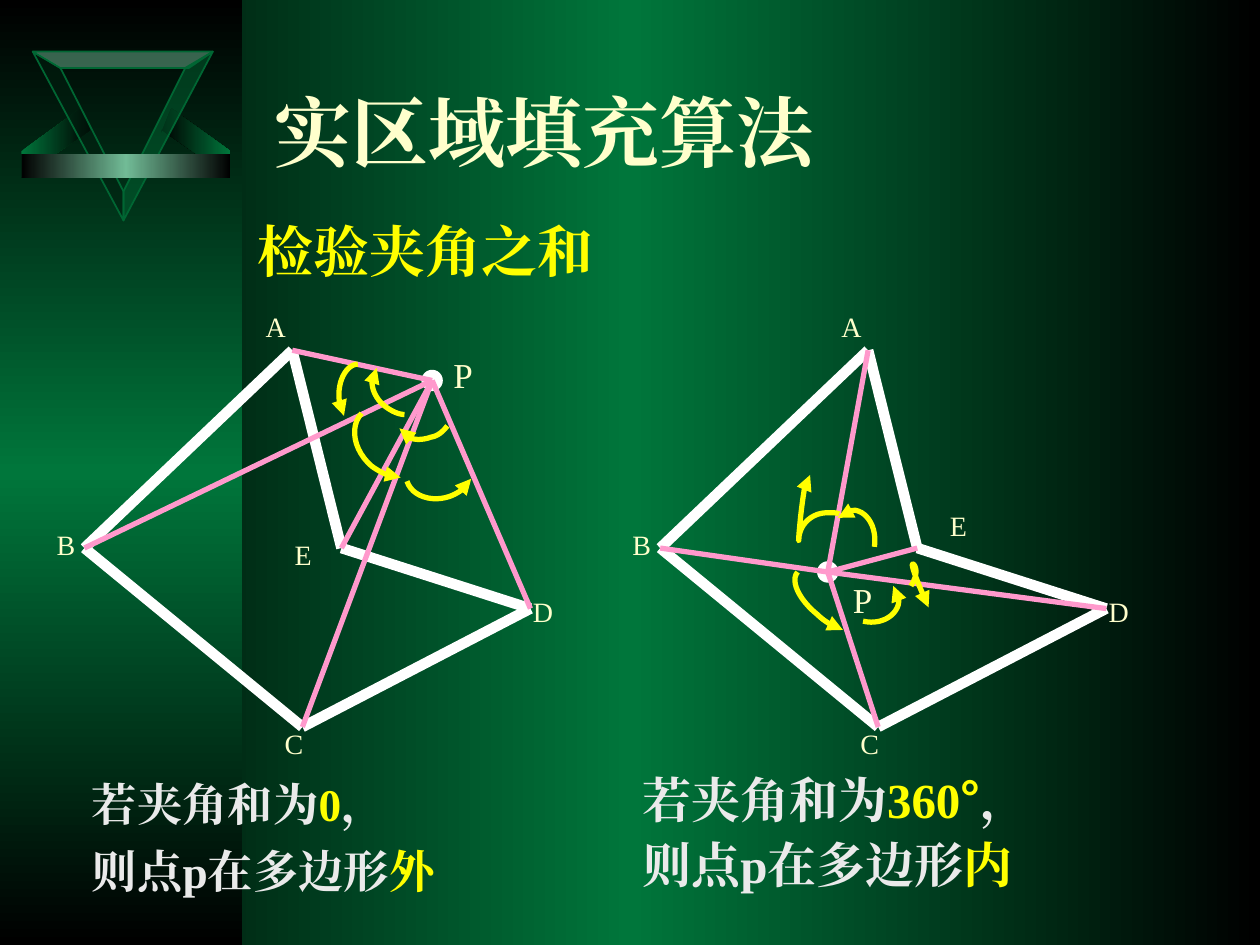
from copy import deepcopy

from lxml.etree import SubElement
from pptx import Presentation
from pptx.dml.color import RGBColor
from pptx.enum.lang import MSO_LANGUAGE_ID
from pptx.enum.shapes import MSO_CONNECTOR, MSO_SHAPE
from pptx.enum.text import MSO_ANCHOR, PP_ALIGN
from pptx.oxml.ns import qn
from pptx.util import Inches, Pt

BLACK = RGBColor(0x00, 0x00, 0x00)
WHITE = RGBColor(0xFF, 0xFF, 0xFF)
GREEN = RGBColor(0x00, 0x76, 0x3B)
MINT = RGBColor(0x71, 0xBB, 0x96)
EDGE_GREEN = RGBColor(0x00, 0x66, 0x33)
DARK_GREEN = RGBColor(0x00, 0x20, 0x10)
CREAM = RGBColor(0xFF, 0xFF, 0xCC)
YELLOW = RGBColor(0xFF, 0xFF, 0x00)
PINK = RGBColor(0xFF, 0x99, 0xCC)
GREY = RGBColor(0xEA, 0xEA, 0xEA)
SERIF = "Times New Roman"
SANS = "Noto Sans CJK SC"

FIGURE_SHIFT = 4.57
POLYGON = {"A": (2.32, 2.78), "B": (0.67, 4.35), "C": (2.4, 5.77),
           "D": (4.21, 4.83), "E": (2.71, 4.35)}
LABELS = {"A": (2.01, 2.41), "B": (0.35, 4.14), "C": (2.16, 5.72), "D": (4.13, 4.67)}
OUTSIDE_ARCS = [
    ("tailEnd", [(2.84, 2.89), (2.76, 2.89), (2.69, 3), (2.69, 3.13),
                 (2.69, 3.19), (2.7, 3.25), (2.73, 3.3)]),
    ("tailEnd", [(2.87, 3.28), (2.77, 3.39), (2.81, 3.58), (2.95, 3.7),
                 (3.02, 3.75), (3.1, 3.79), (3.18, 3.79)]),
    ("tailEnd", [(3.23, 3.82), (3.27, 3.94), (3.43, 3.99), (3.57, 3.94),
                 (3.65, 3.91), (3.71, 3.86), (3.74, 3.8)]),
    ("headEnd", [(3.17, 3.4), (3.2, 3.48), (3.31, 3.51), (3.42, 3.47),
                 (3.48, 3.46), (3.52, 3.42), (3.55, 3.38)]),
    ("headEnd", [(2.99, 2.92), (2.92, 3), (2.95, 3.14), (3.05, 3.22),
                 (3.1, 3.26), (3.16, 3.29), (3.21, 3.29)]),
]
INSIDE_ARCS = [
    ("tailEnd", [(6.66, 4.08), (6.64, 4.07), (6.62, 4.07), (6.59, 4.07),
                 (6.45, 4.06), (6.34, 4.16), (6.34, 4.29),
                 (6.33, 4.35), (6.38, 3.72), (6.43, 3.77)]),
    ("tailEnd", [(6.33, 4.54), (6.27, 4.61), (6.34, 4.76), (6.49, 4.88),
                 (6.55, 4.94), (6.63, 4.98), (6.69, 5)]),
    ("tailEnd", [(6.85, 4.93), (6.98, 4.96), (7.1, 4.9), (7.13, 4.8),
                 (7.14, 4.75), (7.13, 4.69), (7.09, 4.65)]),
    ("tailEnd", [(7.23, 4.65), (7.27, 4.59), (7.28, 4.53), (7.26, 4.49),
                 (7.24, 4.46), (7.2, 4.44), (7.37, 4.82)]),
    ("tailEnd", [(6.94, 4.34), (6.96, 4.19), (6.89, 4.07), (6.79, 4.05),
                 (6.74, 4.05), (6.69, 4.07), (6.65, 4.11)]),
]


def set_gradient(fill, element, colors, angle=0):
    fill.gradient()
    fill.gradient_angle = angle
    first = next(element.iter(qn("a:gs")))
    for _ in colors[2:]:
        first.addnext(deepcopy(first))
    for index, (stop, color) in enumerate(zip(fill.gradient_stops, colors)):
        stop.color.rgb = color
        stop.position = index / (len(colors) - 1)


def add_outline(page, points, closed=True):
    corners = [(Inches(x), Inches(y)) for x, y in points]
    builder = page.shapes.build_freeform(*corners[0], scale=1.0)
    builder.add_line_segments(corners[1:], close=closed)
    shape = builder.convert_to_shape()
    shape.shadow.inherit = False
    return shape


def add_preset(page, kind, left, top, width, height):
    shape = page.shapes.add_shape(kind, Inches(left), Inches(top), Inches(width), Inches(height))
    shape.shadow.inherit = False
    shape.line.fill.background()
    return shape


def add_band(page, colors, angle, *place):
    band = add_preset(page, MSO_SHAPE.RECTANGLE, *place)
    set_gradient(band.fill, band.element, colors, angle)


def add_facet(page, color, points):
    facet = add_outline(page, points)
    facet.fill.solid()
    facet.fill.fore_color.rgb = color
    SubElement(next(facet.element.iter(qn("a:srgbClr"))), qn("a:alpha"), val="50000")
    facet.line.color.rgb = EDGE_GREEN
    facet.line.width = Pt(1)


def add_wing(page, colors, points):
    wing = add_outline(page, points)
    wing.line.fill.background()
    set_gradient(wing.fill, wing.element, colors)


def add_segment(page, start, end, color, width):
    ends = [Inches(value) for value in (*start, *end)]
    segment = page.shapes.add_connector(MSO_CONNECTOR.STRAIGHT, *ends)
    segment.line.color.rgb = color
    segment.line.width = Pt(width)
    SubElement(segment.element.spPr, qn("a:effectLst"))


def curve_points(controls, steps=12):
    points = [controls[0]]
    for start in range(0, len(controls) - 1, 3):
        piece = controls[start:start + 4]
        for step in range(1, steps + 1):
            t = step / steps
            weights = ((1 - t) ** 3, 3 * t * (1 - t) ** 2, 3 * t * t * (1 - t), t ** 3)
            points.append(tuple(sum(w * point[axis] for w, point in zip(weights, piece))
                                for axis in (0, 1)))
    return points


def add_arc(page, arrow_end, controls):
    arc = add_outline(page, curve_points(controls), closed=False)
    arc.fill.background()
    arc.line.color.rgb = YELLOW
    arc.line.width = Pt(3)
    SubElement(arc.line.fill._xPr, qn(f"a:{arrow_end}"), type="triangle")


def add_text(page, place, paragraphs, size, bold=False, anchor=MSO_ANCHOR.TOP, **spacing):
    box = page.shapes.add_textbox(*[Inches(value) for value in place])
    frame = box.text_frame
    frame.word_wrap = True
    frame.vertical_anchor = anchor
    for index, spans in enumerate(paragraphs):
        para = frame.paragraphs[0] if index == 0 else frame.add_paragraph()
        for name, value in spacing.items():
            setattr(para, name, value)
        for text, color, *face in spans:
            span = para.add_run()
            span.text = text
            font_format = {"size": Pt(size), "bold": bold, "name": face[0] if face else SERIF,
                           "language_id": MSO_LANGUAGE_ID.SIMPLIFIED_CHINESE}
            for name, value in font_format.items():
                setattr(span.font, name, value)
            span.font.color.rgb = color
            SubElement(span.font._rPr, qn("a:ea"), typeface=font_format["name"])


def add_label(page, letter, position, size=16):
    add_text(page, (*position, 0.71, 0.37), [[(letter, CREAM)]], size,
             space_before=Pt(size * 0.625))


def add_emblem(page):
    right_wing = [(1.83, 1.2), (1.83, 1.41), (1.28, 1.03), (1.28, 1.05), (1.36, 0.86)]
    add_wing(page, (BLACK, GREEN), right_wing)
    add_wing(page, (GREEN, BLACK), [(2 - x, y) for x, y in right_wing])
    add_facet(page, DARK_GREEN, [(0.98, 1.75), (0.98, 1.52), (0.48, 0.54), (0.26, 0.41)])
    add_facet(page, MINT, [(0.26, 0.41), (0.48, 0.54), (1.5, 0.54), (1.69, 0.41)])
    add_facet(page, EDGE_GREEN, [(0.98, 1.75), (0.98, 1.52), (1.47, 0.54), (1.69, 0.41)])
    add_band(page, (BLACK, MINT, BLACK), 0, 0.17, 1.22, 1.66, 0.19)


def add_figure(page, shift, point, arcs, e_label, p_label):
    corners = [(x + shift, y) for x, y in POLYGON.values()]
    for start, end in zip(corners, corners[1:] + corners[:1]):
        add_segment(page, start, end, WHITE, 6)
    dot = add_preset(page, MSO_SHAPE.OVAL, point[0] - 0.08, point[1] - 0.08, 0.16, 0.16)
    dot.fill.solid()
    dot.fill.fore_color.rgb = WHITE
    dot.line.color.rgb = WHITE
    dot.line.width = Pt(0.75)
    for corner in corners:
        add_segment(page, point, corner, PINK, 3)
    for arrow_end, controls in arcs:
        add_arc(page, arrow_end, controls)
    for letter, (x, y) in LABELS.items():
        add_label(page, letter, (x + shift, y))
    add_label(page, "E", e_label)
    add_label(page, "P", p_label, 20)


def main():
    deck = Presentation()
    deck.slide_width, deck.slide_height = Inches(10), Inches(7.5)
    page = deck.slides.add_slide(deck.slide_layouts[6])
    set_gradient(page.background.fill, page.element, (BLACK, GREEN, BLACK))
    add_band(page, (BLACK, GREEN, BLACK), 90, 0, 0, 1.92, 7.5)
    add_emblem(page)
    add_text(page, (2.08, 0.25, 7.75, 1.58), [[("实区域填充算法", CREAM)]], 44, True,
             MSO_ANCHOR.MIDDLE)
    add_text(page, (0.63, 6.11, 4.29, 1.1),
             [[("若夹角和为", GREY), ("0", YELLOW), ("，", GREY)],
              [("则点p在多边形", GREY), ("外", YELLOW)]], 25.9, True, space_before=Pt(7))
    add_text(page, (5, 6.11, 4.88, 1.1),
             [[("若夹角和为", GREY), ("360", YELLOW), ("°", YELLOW, SANS), ("，", GREY)],
              [("则点p在多边形", GREY), ("内", YELLOW)]], 28, True,
             space_before=Pt(7), line_spacing=0.9)
    add_figure(page, 0, (3.43, 3.02), OUTSIDE_ARCS, (2.24, 4.22), (3.5, 2.76))
    add_figure(page, FIGURE_SHIFT, (6.57, 4.54), INSIDE_ARCS, (7.44, 3.99), (6.67, 4.54))
    add_text(page, (1.05, 1.67, 4.66, 0.64), [[("检验夹角之和", YELLOW)]], 32, True,
             alignment=PP_ALIGN.CENTER)
    deck.save("out.pptx")


if __name__ == "__main__":
    main()
